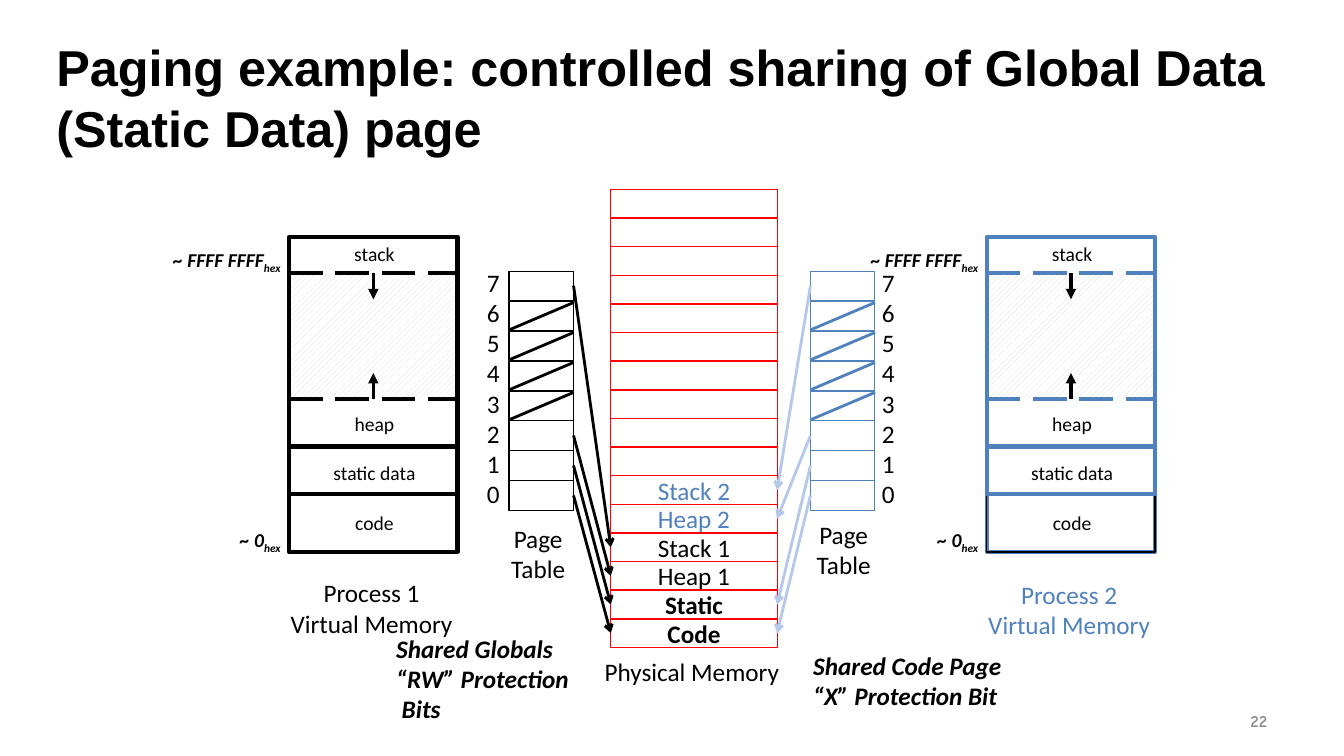
from dataclasses import dataclass

from lxml.etree import SubElement
from pptx import Presentation
from pptx.dml.color import RGBColor as RGB
from pptx.enum.dml import MSO_LINE_DASH_STYLE as Dash, MSO_PATTERN_TYPE as Hatch
from pptx.enum.shapes import MSO_CONNECTOR_TYPE as Link, MSO_SHAPE as Form
from pptx.enum.text import MSO_ANCHOR as Anchor, PP_ALIGN as Align
from pptx.oxml.ns import qn
from pptx.util import Pt


@dataclass(frozen=True)
class Theme:
    black: RGB = RGB(0, 0, 0)
    white: RGB = RGB(255, 255, 255)
    blue: RGB = RGB.from_string("4F81BD")
    pale: RGB = RGB.from_string("B6C8E9")
    red: RGB = RGB.from_string("FF0000")
    hatch: RGB = RGB.from_string("D6D7D6")
    gray: RGB = RGB.from_string("8C8C8C")
    font: str = "Calibri"
    head: float = 36
    body: float = 18
    small: float = 14
    foot: float = 12


look = Theme()
deck = Presentation()
deck.slide_width, deck.slide_height = Pt(960), Pt(540)
slide = deck.slides.add_slide(deck.slide_layouts[5])


def box(text, x, y, w, h, edge=None, weight=0.75, size=look.body, color=look.black,
        bold=False, slant=False, align=Align.CENTER, sub="", font=look.font):
    """Draw a framed rectangle if an edge colour is given, else a plain label."""
    place = Pt(x), Pt(y), Pt(w), Pt(h)
    if edge is None:
        shape = slide.shapes.add_textbox(*place)
        shape.text_frame.word_wrap = align != Align.CENTER
    else:
        shape = slide.shapes.add_shape(Form.RECTANGLE, *place)
        shape.shadow.inherit = False
        shape.fill.background()
        shape.line.color.rgb, shape.line.width = edge, Pt(weight)
        shape.text_frame.vertical_anchor = Anchor.MIDDLE
        shape.text_frame.margin_top = shape.text_frame.margin_bottom = 0
    if text:
        shape.text_frame.text = text
        for para in shape.text_frame.paragraphs:
            para.alignment = align
            if sub:
                run = para.add_run()
                run.text = sub
                run._r.get_or_add_rPr().set("baseline", "-25000")
            for run in para.runs:
                run.font.name, run.font.size = font, Pt(size)
                run.font.bold, run.font.italic = bold, slant
                run.font.color.rgb = color
    return shape


def line(x1, y1, x2, y2, color, weight, tail=None, dash=None):
    link = slide.shapes.add_connector(Link.STRAIGHT, Pt(x1), Pt(y1), Pt(x2), Pt(y2))
    link.line.color.rgb, link.line.width = color, Pt(weight)
    if dash:
        link.line.dash_style = dash
    if tail:
        SubElement(link.line._get_or_add_ln(), qn("a:tailEnd"), type=tail)
    SubElement(link._element.spPr, qn("a:effectLst"))
    return link


# Title
title = slide.shapes.title
title.left, title.top, title.width, title.height = Pt(33), Pt(21.6), Pt(893), Pt(94.4)
title.text_frame.text = "Paging example: controlled sharing of Global Data (Static Data) page"
title.text_frame.vertical_anchor = Anchor.TOP
para = title.text_frame.paragraphs[0]
para.alignment, para.line_spacing = Align.LEFT, Pt(43.5)
font = para.runs[0].font
font.name, font.size, font.bold = "Arial", Pt(look.head), True
font.color.rgb = look.black

# Virtual memory of each process
wide = 120.2
top, gap, heap, static, code, base = 169.2, 195.1, 285.1, 319, 352.8, 394.3
names = [("stack", 169.2), ("heap", 290.9), ("static data", 325.4), ("code", 361.4)]
for num, x, ink, foot in [(1, 206.6, look.black, 409), (2, 704.9, look.blue, 410.4)]:
    mid = x + wide / 2
    free = box("", x, gap, wide, heap - gap, look.white, 1)
    free.fill.patterned()
    free.fill.pattern = Hatch.WIDE_UPWARD_DIAGONAL
    free.fill.fore_color.rgb, free.fill.back_color.rgb = look.hatch, look.white
    box("", x, top, wide, base - top, ink, 3)
    box("", x, code, wide, base - code, look.black, 1)
    box("", x, static, wide, code - static, ink, 3)
    for y, grow in [(heap, -18.7), (gap, 18.7)]:
        line(x, y, x + wide, y, ink, 3, dash=Dash.LONG_DASH)
        line(mid, y, mid, y + grow, look.black, 2.5, "triangle")
    for name, y in names:
        box(name, mid - 46, y, 93.6, 24.5, size=look.small)
    for mark, dx, y in [("~ FFFF FFFF", -90, 173.5), ("~ 0", -42.4, 373.7)]:
        box(mark, x + dx, y, 98, 24.5, size=look.small, bold=True, slant=True,
            align=Align.LEFT, sub="hex")
    box(f"Process {num}\nVirtual Memory", x - 7.2, foot, 132, 51, color=ink)

# Physical memory frames
frames = {}
used = ["Stack 2", "Heap 2", "Stack 1", "Heap 1", "Static", "Code"]
for row, name in enumerate([""] * 10 + used):
    frames[name] = box(name, 436.3, 135.4 + row * 20.45, 118.8, 20.2, look.red,
                       color=look.blue if name.endswith("2") else look.black,
                       bold=name in ("Static", "Code"))
box("Physical Memory", 424, 465, 140.4, 29)

# Page tables: unused slots are struck out, the others point at frames
digits = "\n".join(str(slot) for slot in range(7, -1, -1))
tables = [
    (1, 363.6, 340.6, 357.8, 370, look.black, look.black, 3, 1),
    (2, 578.9, 622.8, 576, 367.2, look.blue, look.pale, 1, 3),
]
for num, x, numx, namex, namey, ink, tint, out, into in tables:
    goal = {0: "Code", 1: "Static", 2: f"Heap {num}", 7: f"Stack {num}"}
    box(digits, numx, 187.2, 26, 181.5, align=Align.LEFT)
    box("Page\vTable", namex, namey, 53.3, 51)
    for slot in range(8):
        y = 193.7 + (7 - slot) * 21.4
        cell = box("", x, y, 46.1, 20.9, ink)
        if slot in goal:
            link = line(x, y, x, y, tint, 2, "arrow")
            link.begin_connect(cell, out)
            link.end_connect(frames[goal[slot]], into)
        else:
            line(x, y + 20.6, x + 46.1, y + 1, ink, 2)

# Notes on sharing and the page number
for note, x, y, w, h in [
    ("Shared Code Page\n“X” Protection Bit", 573.8, 460.8, 160, 51),
    ("Shared Globals\n“RW” Protection\n Bits", 275.8, 448.6, 148, 72.7),
]:
    box(note, x, y, w, h, bold=True, slant=True, align=Align.LEFT)
page = box("22", 688.3, 500.4, 223.9, 28.8, size=look.foot, color=look.gray, bold=True,
           align=Align.RIGHT, font="Comic Neue")
page.text_frame.vertical_anchor = Anchor.MIDDLE

deck.save("out.pptx")
